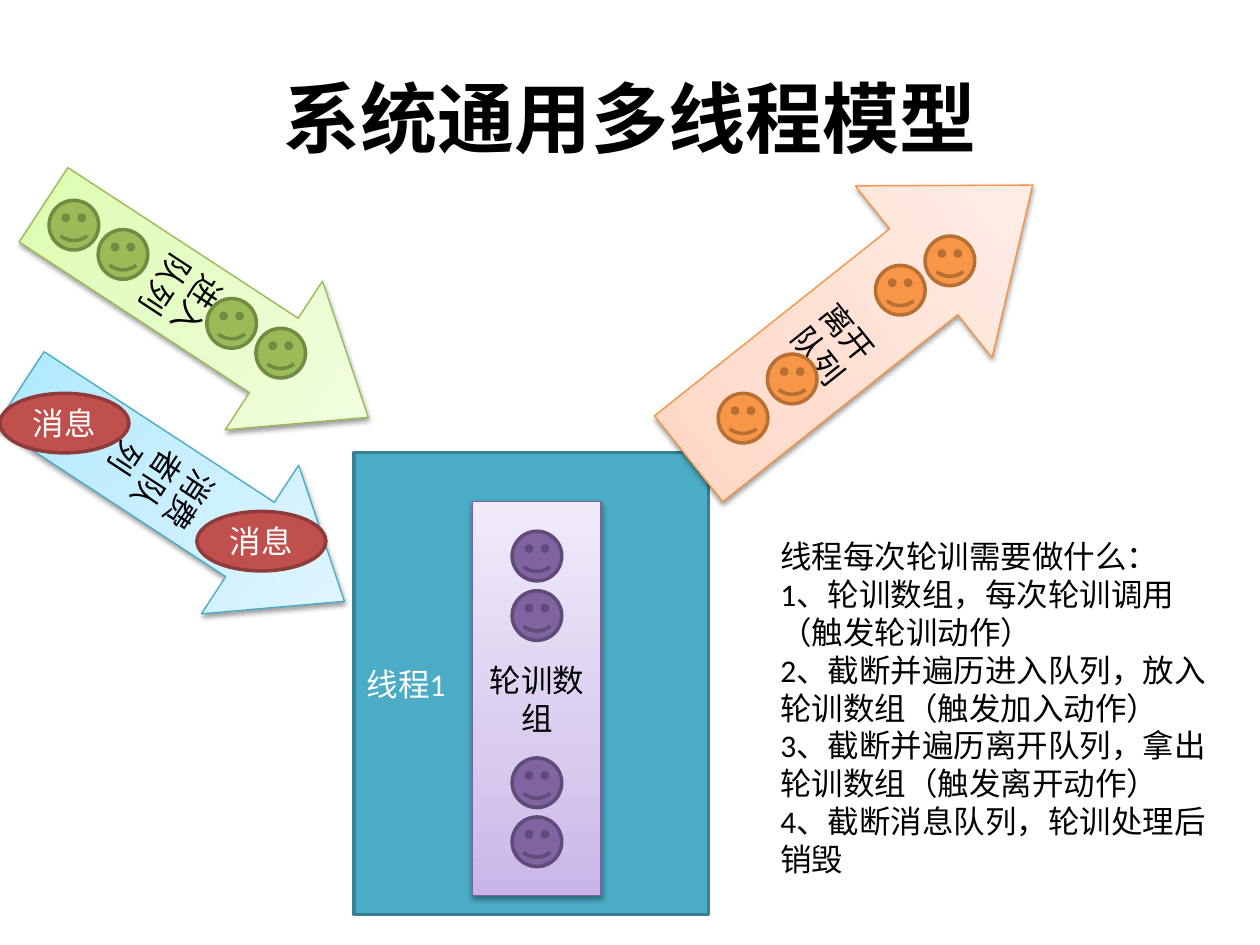
from lxml.etree import SubElement
from pptx import Presentation
from pptx.dml.color import RGBColor
from pptx.enum.shapes import MSO_SHAPE
from pptx.enum.text import MSO_ANCHOR, PP_ALIGN
from pptx.oxml.ns import qn
from pptx.util import Cm, Pt

BLACK = RGBColor(0x00, 0x00, 0x00)
WHITE = RGBColor(0xFF, 0xFF, 0xFF)
# Solid styles: fill, outline
TEAL = (RGBColor(0x4B, 0xAC, 0xC6), RGBColor(0x37, 0x7F, 0x92))
GREEN = (RGBColor(0x9B, 0xBB, 0x59), RGBColor(0x73, 0x8A, 0x42))
ORANGE = (RGBColor(0xF7, 0x96, 0x46), RGBColor(0xB7, 0x6F, 0x34))
PURPLE = (RGBColor(0x80, 0x64, 0xA2), RGBColor(0x5F, 0x4A, 0x78))
RED = (RGBColor(0xC0, 0x50, 0x4D), RGBColor(0x8E, 0x3B, 0x39))
# Soft styles: gradient colours at GRADIENT_STOPS, outline
SOFT_GREEN = ("DAFDA7", "E4FCC2", "F5FFE7"), RGBColor(0x98, 0xB9, 0x55)
SOFT_ORANGE = ("FFD2BD", "FFDED0", "FFF2ED"), RGBColor(0xF6, 0x92, 0x40)
SOFT_PURPLE = ("C9B5E8", "D8CBEE", "F0EAF9"), RGBColor(0x7D, 0x60, 0xA0)
SOFT_BLUE = ("A7E6FF", "C1EDFF", "E7F8FF"), RGBColor(0x46, 0xAA, 0xC5)
GRADIENT_STOPS = (0, 35, 100)

LATIN_FONT = "Calibri"
CHINESE_FONT = "Noto Sans CJK SC"

# Boxes are left, top, width, height in centimetres
TITLE = "系统通用多线程模型"
TITLE_BOX = (1.27, 0.76, 22.86, 3.18)
THREAD = ("线程1", (7.14, 9.12, 7.14, 9.32))
POLL_ARRAY = ("轮训数组", (9.53, 10.11, 2.59, 7.95))
ENTER_QUEUE = ("进入队列", (2.36, 2.36, 3.58, 7.82), 123.2, SOFT_GREEN)
LEAVE_QUEUE = ("离开队列", (15.14, 2.06, 4.42, 8.86), 51.5, SOFT_ORANGE)
CONSUMER_QUEUE = ("消费者队列", (1.88, 6.07, 3.58, 7.82), 123.2, SOFT_BLUE)
FACE_SIZE = 1.0
QUEUE_FACES = [
    (GREEN, [(0.99, 4.04), (1.98, 4.63), (4.17, 6.02), (5.16, 6.62)]),
    (ORANGE, [(14.48, 7.93), (15.47, 7.14), (17.65, 5.35), (18.65, 4.76)]),
]
ARRAY_FACE_TOPS = (10.71, 11.91, 15.28, 16.47)
MESSAGE = "消息"
MESSAGE_SIZE = (2.6, 1.2)
MESSAGE_CORNERS = [(0, 7.93), (3.97, 10.31)]
STEPS_BOX = (15.48, 10.71, 9.13, 7.19)
STEPS = [
    "线程每次轮训需要做什么：",
    "1、轮训数组，每次轮训调用（触发轮训动作）",
    "2、截断并遍历进入队列，放入轮训数组（触发加入动作）",
    "3、截断并遍历离开队列，拿出轮训数组（触发离开动作）",
    "4、截断消息队列，轮训处理后销毁",
]


def in_cm(box):
    return [Cm(length) for length in box]


def write(shape, lines, color=BLACK, align=PP_ALIGN.CENTER, size=18,
          latin=LATIN_FONT, bold=False):
    frame = shape.text_frame
    frame.word_wrap = True
    frame.text = "\n".join(lines)
    for para in frame.paragraphs:
        para.alignment = align
        for span in para.runs:
            span.font.size = Pt(size)
            span.font.bold = bold
            span.font.color.rgb = color
            span.font.name = latin
            SubElement(span.font._element, qn("a:ea"), typeface=CHINESE_FONT)


def add_solid(page, kind, box, style):
    shape = page.shapes.add_shape(kind, *in_cm(box))
    shape.shadow.inherit = False
    shape.fill.solid()
    shape.fill.fore_color.rgb, shape.line.color.rgb = style
    shape.line.width = Pt(2)
    return shape


def add_soft(page, kind, box, style):
    """Add a shape with a three-stop gradient, thin outline and drop shadow."""
    colors, outline = style
    shape = page.shapes.add_shape(kind, *in_cm(box))
    shape.line.color.rgb = outline
    shape.line.width = Pt(0.75)
    shape.fill.gradient()
    shape.fill.gradient_angle = 90
    properties = shape._element.spPr
    stops = properties.find(".//" + qn("a:gsLst"))
    for stop in list(stops):
        stops.remove(stop)
    for position, color in zip(GRADIENT_STOPS, colors):
        stop = SubElement(stops, qn("a:gs"), pos=str(position * 1000))
        SubElement(stop, qn("a:srgbClr"), val=color)
    shape.shadow.inherit = False
    shadow = SubElement(properties.find(qn("a:effectLst")), qn("a:outerShdw"),
                        blurRad=str(Pt(3.1)), dist=str(Pt(1.6)),
                        dir="5400000", rotWithShape="0")
    tint = SubElement(shadow, qn("a:srgbClr"), val="000000")
    SubElement(tint, qn("a:alpha"), val="38000")
    return shape


def add_queue(page, label, box, rotation, style):
    arrow = add_soft(page, MSO_SHAPE.UP_ARROW, box, style)
    arrow.adjustments[0] = 0.5
    arrow.adjustments[1] = 0.635
    arrow.rotation = rotation
    write(arrow, [label])


def add_faces(page, corners, style):
    for left, top in corners:
        add_solid(page, MSO_SHAPE.SMILEY_FACE,
                  (left, top, FACE_SIZE, FACE_SIZE), style)


def main():
    deck = Presentation()
    deck.slide_width, deck.slide_height = Cm(25.4), Cm(19.05)
    page = deck.slides.add_slide(deck.slide_layouts[6])

    title = page.shapes.add_textbox(*in_cm(TITLE_BOX))
    title.text_frame.vertical_anchor = MSO_ANCHOR.MIDDLE
    write(title, [TITLE], size=44, latin=CHINESE_FONT, bold=True)

    label, box = THREAD
    thread = add_solid(page, MSO_SHAPE.RECTANGLE, box, TEAL)
    write(thread, [label], WHITE, PP_ALIGN.LEFT)

    for queue in (ENTER_QUEUE, LEAVE_QUEUE):
        add_queue(page, *queue)
    for style, corners in QUEUE_FACES:
        add_faces(page, corners, style)

    label, box = POLL_ARRAY
    write(add_soft(page, MSO_SHAPE.RECTANGLE, box, SOFT_PURPLE), [label])
    face_left = box[0] + (box[2] - FACE_SIZE) / 2
    add_faces(page, [(face_left, top) for top in ARRAY_FACE_TOPS], PURPLE)

    steps = page.shapes.add_textbox(*in_cm(STEPS_BOX))
    write(steps, STEPS, align=PP_ALIGN.LEFT)

    add_queue(page, *CONSUMER_QUEUE)
    for corner in MESSAGE_CORNERS:
        oval = add_solid(page, MSO_SHAPE.OVAL, corner + MESSAGE_SIZE, RED)
        write(oval, [MESSAGE], WHITE)

    deck.save("out.pptx")


if __name__ == "__main__":
    main()
